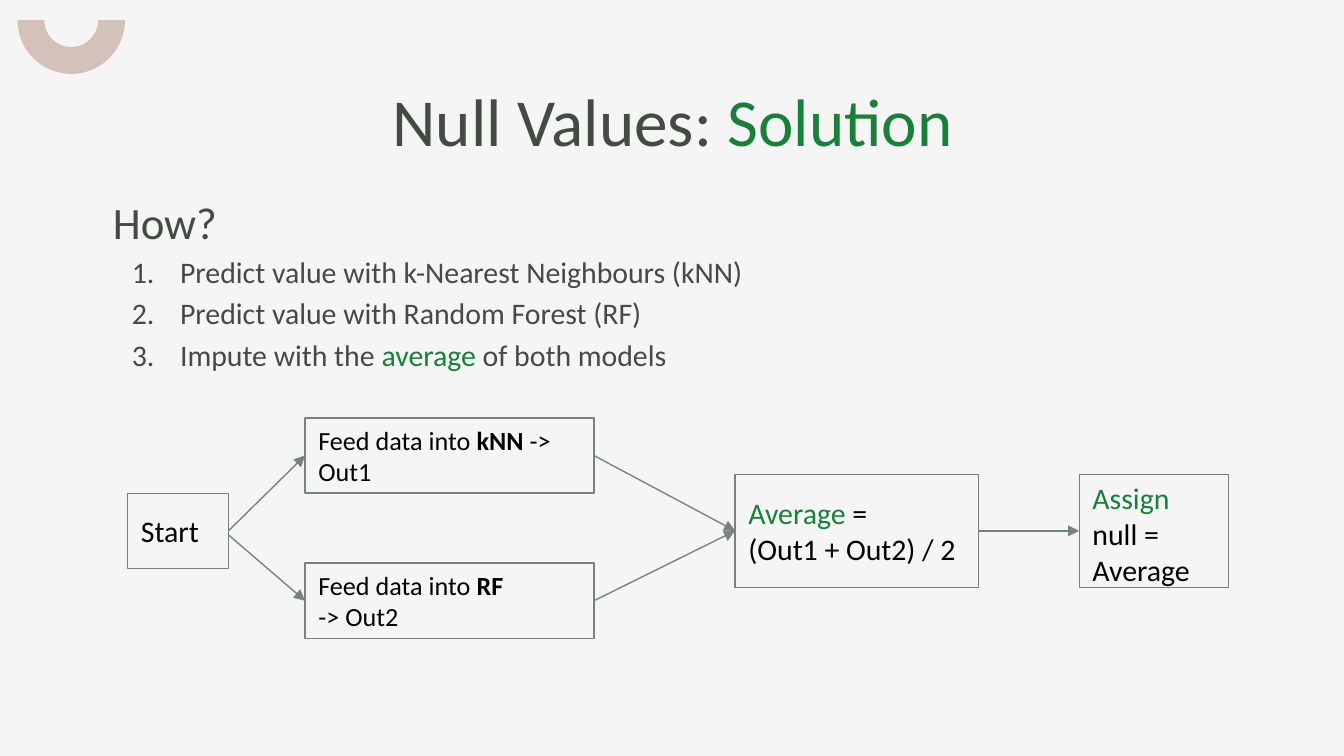
from lxml import etree
from pptx import Presentation
from pptx import util as u
from pptx.dml.color import RGBColor
from pptx.enum import shapes, text
from pptx.oxml.ns import qn

BACKGROUND = RGBColor(0xF5, 0xF5, 0xF5)
INK = RGBColor(0x43, 0x4B, 0x43)
GREEN = RGBColor(0x18, 0x80, 0x38)
LINE = RGBColor(0x77, 0x84, 0x7B)
ROSE = RGBColor(0xD3, 0xC1, 0xBA)
BLACK = RGBColor(0, 0, 0)

TOP, LEFT, BOTTOM, RIGHT = range(4)


def add_run(p, content, size=16, color=BLACK, bold=False):
    r = p.add_run()
    r.text = content
    r.font.name = "Calibri"
    r.font.size = u.Pt(size)
    r.font.bold = bold
    r.font.color.rgb = color


def add_paragraph(tf, *parts, size=16, color=BLACK, spacing=1.0,
                  align=text.PP_ALIGN.LEFT, numbered=False):
    """Fill the empty first paragraph or append one; a part is text or (text, format)."""
    p = tf.paragraphs[0]
    if p.runs:
        p = tf.add_paragraph()
    pPr = p._p.get_or_add_pPr()
    pPr.set("marL", str(u.Inches(0.5 if numbered else 0)))
    pPr.set("indent", str(u.Inches(-0.36 if numbered else 0)))
    if numbered:
        clr = etree.SubElement(pPr, qn("a:buClr"))
        etree.SubElement(clr, qn("a:srgbClr"), val=str(color))
        etree.SubElement(pPr, qn("a:buFont"), typeface="Calibri")
        etree.SubElement(pPr, qn("a:buAutoNum"), type="arabicPeriod")
    else:
        etree.SubElement(pPr, qn("a:buNone"))
    p.alignment = align
    p.line_spacing = spacing
    p.space_before = u.Pt(0)
    for part in parts:
        content, fmt = (part, {}) if isinstance(part, str) else part
        add_run(p, content, **{"size": size, "color": color, **fmt})


class SlideBuilder:
    def __init__(self, prs):
        self.s = prs.slides.add_slide(prs.slide_layouts[1])
        self.s.background.fill.solid()
        self.s.background.fill.fore_color.rgb = BACKGROUND

    def frame(self, sp, anchor):
        tf = sp.text_frame
        tf.word_wrap = True
        tf.auto_size = text.MSO_AUTO_SIZE.NONE
        tf.vertical_anchor = anchor
        tf.margin_left = tf.margin_right = u.Inches(0.1)
        tf.margin_top = tf.margin_bottom = u.Inches(0.1)
        return tf

    def placeholder(self, idx, x, y, w, h):
        sp = self.s.placeholders[idx]
        sp.left, sp.top, sp.width, sp.height = map(u.Inches, (x, y, w, h))
        return self.frame(sp, text.MSO_ANCHOR.TOP)

    def shape(self, kind, x, y, w, h, fill):
        sp = self.s.shapes.add_shape(kind, *map(u.Inches, (x, y, w, h)))
        sp.shadow.inherit = False
        sp.fill.solid()
        sp.fill.fore_color.rgb = fill
        sp.line.fill.background()
        return sp

    def box(self, x, y, w, h, *paragraphs, size=16):
        """Add a flow step; each paragraph is (parts, format)."""
        sp = self.shape(shapes.MSO_SHAPE.RECTANGLE, x, y, w, h, BACKGROUND)
        sp.line.color.rgb = LINE
        sp.line.width = u.Pt(0.75)
        tf = self.frame(sp, text.MSO_ANCHOR.MIDDLE)
        for parts, fmt in paragraphs:
            add_paragraph(tf, *parts, size=size, **fmt)
        return sp

    def arrow(self, source, target, start=None):
        """Join right side to left side, or begin at a free start point."""
        x, y = map(u.Inches, start or (0, 0))
        cx = self.s.shapes.add_connector(shapes.MSO_CONNECTOR.STRAIGHT, x, y, x, y)
        if start is None:
            cx.begin_connect(source, RIGHT)
        cx.end_connect(target, LEFT)
        cx.line.color.rgb = LINE
        cx.line.width = u.Pt(0.75)
        etree.SubElement(cx.line._get_or_add_ln(), qn("a:tailEnd"), type="triangle")
        etree.SubElement(cx._element.spPr, qn("a:effectLst"))


def main():
    prs = Presentation()
    prs.slide_width = u.Inches(10)
    prs.slide_height = prs.slide_width * 9 // 16
    b = SlideBuilder(prs)
    green, bold = {"color": GREEN}, {"bold": True}

    arc = b.shape(shapes.MSO_SHAPE.BLOCK_ARC, 0.13, -0.25, 0.8, 0.8, ROSE)
    arc.rotation = 180

    title = b.placeholder(0, 0.79, 0.49, 8.43, 0.63)
    add_paragraph(title, "Null Values: ", ("Solution", green), size=36, color=INK,
                  align=text.PP_ALIGN.CENTER)

    body = b.placeholder(1, 0.74, 1.29, 5.83, 1.53)
    add_paragraph(body, "How?", size=24, color=INK, spacing=1.15)
    for parts in (
        ["Predict value with k-Nearest Neighbours (kNN)"],
        ["Predict value with Random Forest (RF)"],
        ["Impute with the ", ("average", green), " of both models"],
    ):
        add_paragraph(body, *parts, color=INK, spacing=1.15, numbered=True)

    start = b.box(0.95, 3.67, 0.75, 0.56, (["Start"], {}))
    knn = b.box(2.27, 3.11, 2.15, 0.56,
                (["Feed data into ", ("kNN ", bold), "-> Out1"], {}), size=14)
    forest = b.box(2.27, 4.19, 2.15, 0.56,
                   (["Feed data into ", ("RF", bold)], {}),
                   (["-> Out2"], {}), size=14)
    average = b.box(5.47, 3.53, 1.81, 0.84,
                    ([("Average ", green), "="], {}),
                    (["(Out1 + Out2) / 2"], {}))
    assign = b.box(8.03, 3.53, 1.11, 0.84,
                   (["Assign"], {"color": GREEN, "spacing": 1.15}),
                   (["null = Average"], {}))

    b.arrow(start, forest, start=(1.7, 3.98))
    for source, target in ((start, knn), (knn, average), (forest, average),
                           (average, assign)):
        b.arrow(source, target)

    prs.save("out.pptx")


if __name__ == "__main__":
    main()
